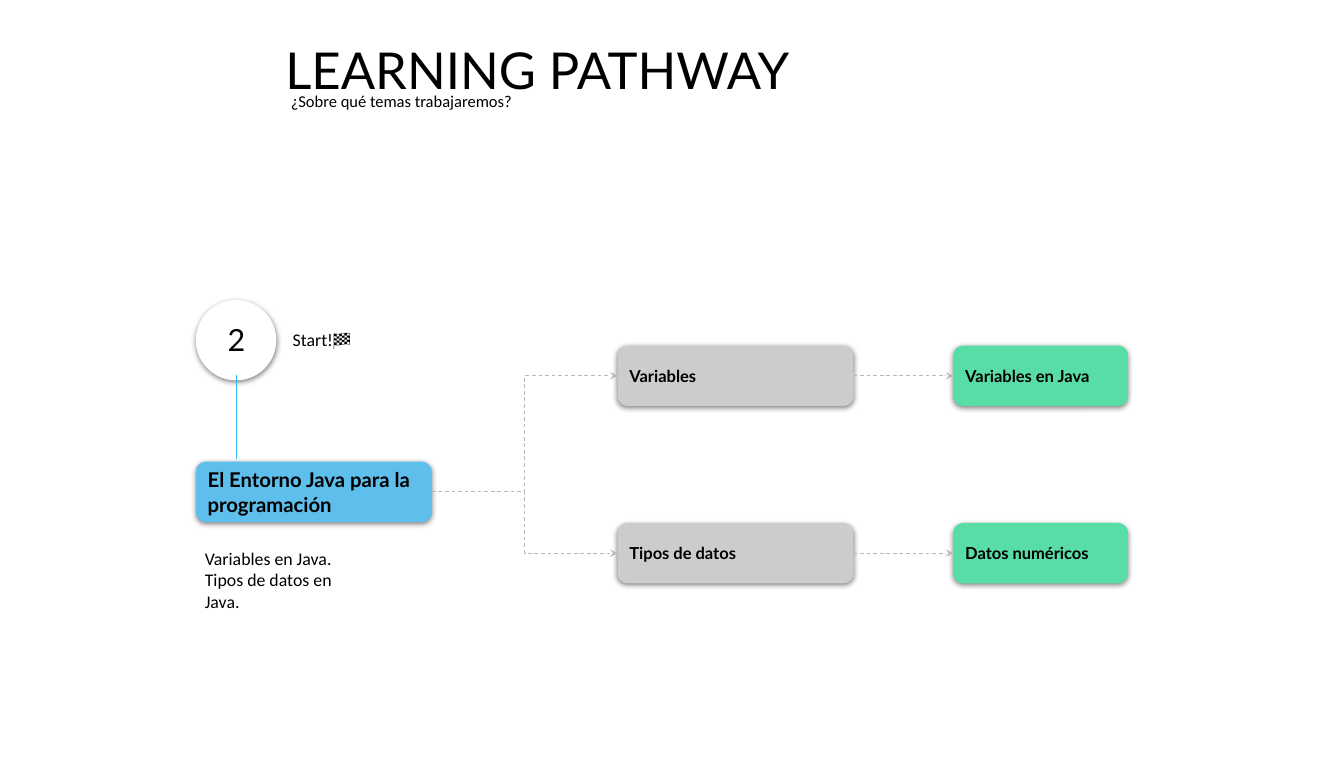
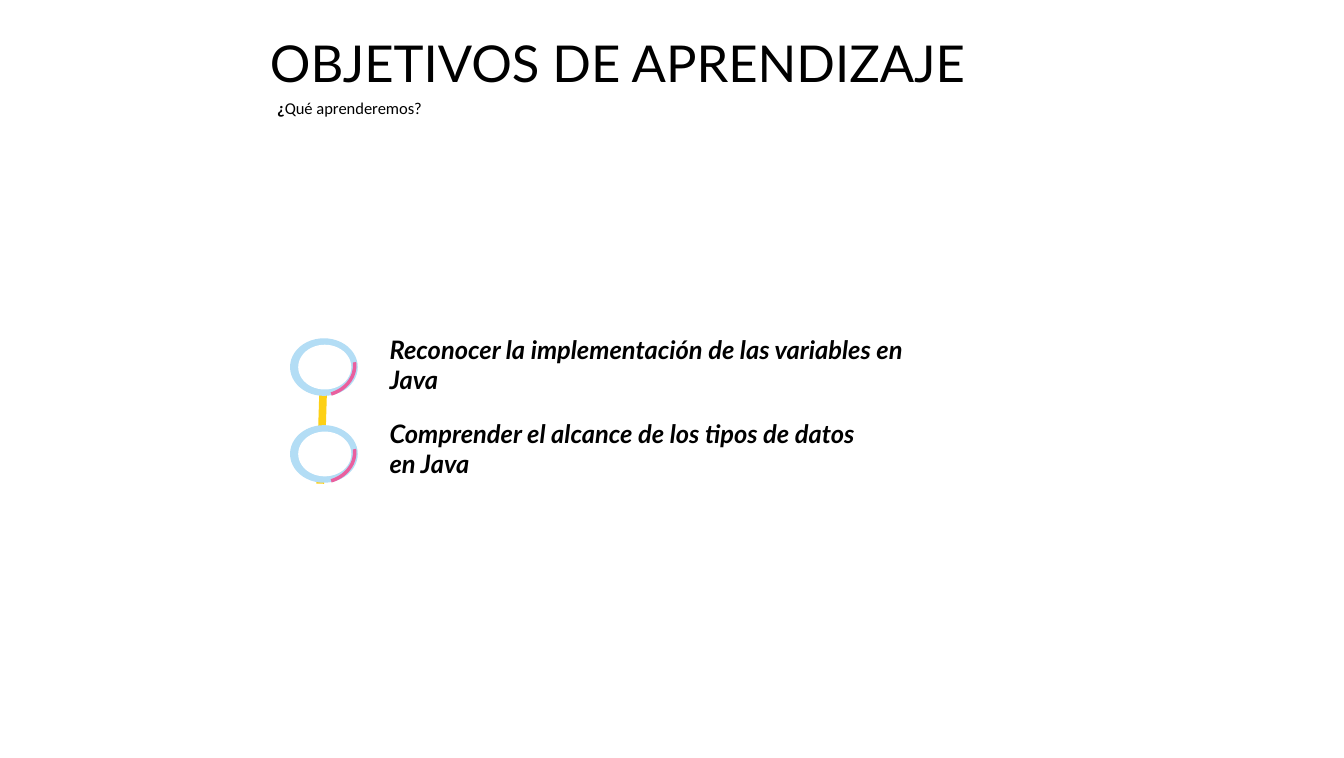
from dataclasses import dataclass

from lxml.etree import SubElement
from pptx import Presentation
from pptx.dml.color import RGBColor as Rgb
from pptx.enum.dml import MSO_LINE
from pptx.enum.shapes import MSO_CONNECTOR as Link, MSO_SHAPE as Form
from pptx.enum.text import MSO_ANCHOR as Anchor, MSO_AUTO_SIZE as Fit, PP_ALIGN as Align
from pptx.oxml.ns import qn
from pptx.util import Inches, Pt


@dataclass(frozen=True)
class Theme:
    heading: str = "Lato"
    body: str = "Calibri"
    ink: str = "000000"
    paper: str = "FFFFFF"
    unit: str = "5EBEEC"
    topic: str = "CCCCCC"
    lesson: str = "58DDA6"
    stem: str = "33B7EE"
    route: str = "B7B7B7"
    thread: str = "FDD015"
    ring: str = "B3DDF5"
    arc: str = "EA5F9E"
    title_size: int = 40
    number_size: int = 24
    goal_size: int = 20
    unit_size: int = 16
    note_size: int = 14
    small_size: int = 13
    thin: float = 0.75
    thick: float = 6
    inset: float = 0.1


class Deck:
    def __init__(self, theme):
        self.theme = theme
        self.file = Presentation()
        self.file.slide_width, self.file.slide_height = Inches(14.69), Inches(8.29)
        self.slide = None

    def x(self, percent):
        return round(self.file.slide_width * percent / 100)

    def y(self, percent):
        return round(self.file.slide_height * percent / 100)

    def area(self, left, top, width, height):
        return self.x(left), self.y(top), self.x(width), self.y(height)

    def typeset(self, frame, paragraphs, size, font, bold=False, italic=False,
                align=Align.LEFT, anchor=Anchor.TOP):
        frame.word_wrap = True
        frame.vertical_anchor = anchor
        frame.margin_left = frame.margin_right = Inches(self.theme.inset)
        frame.margin_top = frame.margin_bottom = Inches(self.theme.inset)
        for index, words in enumerate(paragraphs):
            paragraph = frame.add_paragraph() if index else frame.paragraphs[0]
            paragraph.alignment = align
            pieces = [(words, bold)] if isinstance(words, str) else words
            for piece, strong in pieces:
                run = paragraph.add_run()
                run.text = piece
                run.font.size, run.font.name = Pt(size), font
                run.font.bold, run.font.italic = strong, italic
                run.font.color.rgb = Rgb.from_string(self.theme.ink)

    def titled(self, title, title_area, subtitle, subtitle_area):
        self.slide = self.file.slides.add_slide(self.file.slide_layouts[5])
        heading = self.slide.shapes.title
        heading.left, heading.top, heading.width, heading.height = self.area(*title_area)
        self.typeset(heading.text_frame, [title], self.theme.title_size, self.theme.heading)
        heading.text_frame.auto_size = Fit.SHAPE_TO_FIT_TEXT
        self.text(subtitle_area, [subtitle], self.theme.small_size, self.theme.body)

    def group(self):
        return self.slide.shapes.add_group_shape().shapes

    def text(self, area, paragraphs, size, font, parent=None, **style):
        box = (parent or self.slide.shapes).add_textbox(*self.area(*area))
        self.typeset(box.text_frame, paragraphs, size, font, **style)
        box.text_frame.auto_size = Fit.SHAPE_TO_FIT_TEXT

    def shape(self, form, area, fill, parent=None, raised=False):
        canvas = self.slide.shapes if parent is None else parent
        figure = canvas.add_shape(form, *self.area(*area))
        figure.fill.solid()
        figure.fill.fore_color.rgb = Rgb.from_string(fill)
        figure.line.fill.background()
        figure.shadow.inherit = False
        if raised:
            effects = figure.element.spPr.find(qn("a:effectLst"))
            shadow = SubElement(effects, qn("a:outerShdw"), blurRad=str(Pt(4.5)),
                                dist=str(Pt(1.5)), dir="5400000", algn="bl", rotWithShape="0")
            tone = SubElement(shadow, qn("a:srgbClr"), val=self.theme.ink)
            SubElement(tone, qn("a:alpha"), val="50000")
        return figure

    def card(self, area, words, fill, size):
        figure = self.shape(Form.ROUNDED_RECTANGLE, area, fill, raised=True)
        self.typeset(figure.text_frame, [words], size, self.theme.heading,
                     bold=True, anchor=Anchor.MIDDLE)
        return figure

    def connector(self, kind, start, end, color, width):
        link = self.slide.shapes.add_connector(
            kind, self.x(start[0]), self.y(start[1]), self.x(end[0]), self.y(end[1]))
        link.line.color.rgb = Rgb.from_string(color)
        link.line.width = Pt(width)
        SubElement(link.element.spPr, qn("a:effectLst"))
        return link

    def route(self, source, target):
        link = self.connector(Link.ELBOW, (0, 0), (0, 0), self.theme.route, self.theme.thin)
        link.begin_connect(source, 3)
        link.end_connect(target, 1)
        link.line.dash_style = MSO_LINE.DASH
        SubElement(link.element.spPr.find(qn("a:ln")), qn("a:tailEnd"), type="stealth")

    def bead(self, top):
        theme, bead = self.theme, self.group()
        self.shape(Form.OVAL, (21.58, top, 5.04, 7.6), theme.ring, bead)
        self.shape(Form.OVAL, (22.19, top + 0.85, 3.95, 5.91), theme.paper, bead)
        arc = self.shape(Form.BLOCK_ARC, (21.92, top - 0.48, 4.29, 8.81), theme.arc, bead)
        for index, value in enumerate((57.5, 107.82, 0.06)):
            arc.adjustments[index] = value
        arc.rotation = 253.6


def learning_pathway(deck):
    theme = deck.theme
    deck.titled("LEARNING PATHWAY", (20.56, 3.86, 49.29, 10.62),
                "¿Sobre qué temas trabajaremos?", (20.97, 10.74, 28.59, 5.07))
    left, card_width, card_height = 14.57, 17.56, 7.96
    unit = deck.card((left, 60.92, card_width, card_height),
                     "El Entorno Java para la programación", theme.unit, theme.unit_size)
    deck.text((left, 71.05, 12.46, 10.98), ["Variables en Java.", "Tipos de datos en Java."],
              theme.note_size, theme.body)
    badge = deck.group()
    deck.shape(Form.OVAL, (left, 39.57, 5.99, 10.62), theme.paper, badge, raised=True)
    deck.text((15.18, 41.13, 4.83, 7.36), ["2"], theme.number_size, theme.heading,
              badge, align=Align.CENTER)
    deck.connector(Link.STRAIGHT, (17.56, 49.46), (17.56, 60.56), theme.stem, theme.thin)
    deck.text((21.1, 42.22, 7.62, 5.31), ["Start!🏁"], theme.note_size, theme.body)
    branches = [("Variables", "Variables en Java"), ("Tipos de datos", "Datos numéricos")]
    for index, (topic_name, lesson_name) in enumerate(branches):
        top = 45.6 + 23.4 * index
        topic = deck.card((45.95, top, card_width, card_height), topic_name,
                          theme.topic, theme.small_size)
        lesson = deck.card((70.93, top, 13, card_height), lesson_name,
                           theme.lesson, theme.small_size)
        deck.route(unit, topic)
        deck.route(topic, lesson)


def learning_goals(deck):
    theme = deck.theme
    deck.titled("OBJETIVOS DE APRENDIZAJE", (19.4, 3.02, 58.34, 10.62),
                [("¿", True), ("Qué aprenderemos?", False)], (19.95, 11.7, 18.86, 5.07))
    goals = [("Reconocer la implementación de las variables en Java", 42.27),
             ("Comprender el alcance de los tipos de datos en Java", 36.76)]
    deck.connector(Link.STRAIGHT, (24.1, 48.49), (23.83, 63.81), theme.thread, theme.thick)
    for index, (goal, width) in enumerate(goals):
        deck.text((28.32, 42.82 + 11.1 * index, width, 10.62), [goal],
                  theme.goal_size, theme.heading, bold=True, italic=True)
        deck.bead(44.63 + 11.46 * index)


def main():
    deck = Deck(Theme())
    learning_pathway(deck)
    learning_goals(deck)
    deck.file.save("out.pptx")


if __name__ == "__main__":
    main()
